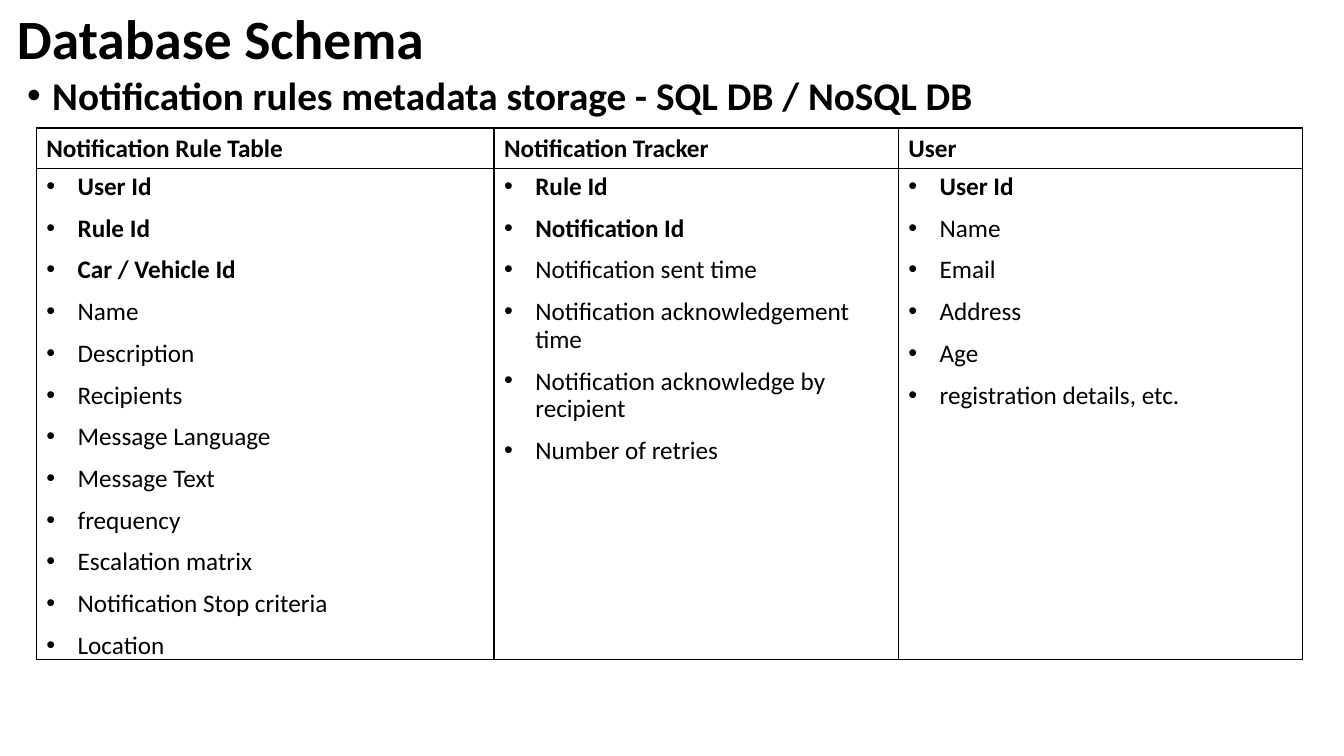
from pptx import Presentation
from pptx.dml.color import RGBColor
from pptx.enum.text import MSO_ANCHOR as Anchor
from pptx.oxml.ns import qn
from pptx.util import Inches, Pt
from lxml.etree import SubElement

BLACK = RGBColor(0, 0, 0)
WHITE = RGBColor(255, 255, 255)

COLUMNS = [
    ("Notification Rule Table", 4.54,
     ["User Id", "Rule Id", "Car / Vehicle Id"],
     ["Name", "Description", "Recipients", "Message Language", "Message Text",
      "frequency", "Escalation matrix", "Notification Stop criteria", "Location"]),
    ("Notification Tracker", 4.01,
     ["Rule Id", "Notification Id"],
     ["Notification sent time", "Notification acknowledgement time",
      "Notification acknowledge by recipient", "Number of retries"]),
    ("User", 4.01,
     ["User Id"],
     ["Name", "Email", "Address", "Age", "registration details, etc."]),
]


def write(paragraph, text, size=18, bold=False, indent=0, before=0, spacing=None):
    """Fill a paragraph with formatted text, bulleted when it has an indent."""
    run = paragraph.add_run()
    run.text = text
    run.font.name = "Calibri"
    run.font.size = Pt(size)
    run.font.bold = bold
    run.font.color.rgb = BLACK
    paragraph.space_before = Pt(before)
    if spacing:
        paragraph.line_spacing = spacing
    if indent:
        properties = paragraph._p.get_or_add_pPr()
        properties.set("marL", str(Inches(indent)))
        properties.set("indent", str(-Inches(indent)))
        SubElement(properties, qn("a:buFont"), typeface="Arial")
        SubElement(properties, qn("a:buChar"), char="•")


class SchemaSlide:
    """Hold the slide and its border style, and draw its elements."""

    def __init__(self, slide, border_width=1):
        self.slide = slide
        self.border_width = border_width

    def add_text(self, text, left, top, width, height, anchor=Anchor.TOP, **style):
        shape = self.slide.shapes.add_textbox(
            Inches(left), Inches(top), Inches(width), Inches(height))
        frame = shape.text_frame
        frame.word_wrap = True
        frame.vertical_anchor = anchor
        write(frame.paragraphs[0], text, **style)

    def style_cell(self, cell):
        properties = cell._tc.get_or_add_tcPr()
        for side in ("lnL", "lnR", "lnT", "lnB"):
            line = SubElement(properties, qn(f"a:{side}"), w=str(Pt(self.border_width)))
            fill = SubElement(line, qn("a:solidFill"))
            SubElement(fill, qn("a:srgbClr"), val=str(BLACK))
        cell.fill.solid()
        cell.fill.fore_color.rgb = WHITE

    def add_schema(self, columns, left, top, row_heights):
        width = sum(column[1] for column in columns)
        table = self.slide.shapes.add_table(
            len(row_heights), len(columns), Inches(left), Inches(top),
            Inches(width), Inches(sum(row_heights))).table
        for row, height in zip(table.rows, row_heights):
            row.height = Inches(height)
        for index, (name, column_width, keys, fields) in enumerate(columns):
            table.columns[index].width = Inches(column_width)
            header, body = table.cell(0, index), table.cell(1, index)
            self.style_cell(header)
            self.style_cell(body)
            write(header.text_frame.paragraphs[0], name, bold=True)
            for position, field in enumerate(keys + fields):
                frame = body.text_frame
                paragraph = frame.add_paragraph() if position else frame.paragraphs[0]
                write(paragraph, field, bold=position < len(keys),
                      indent=0.31, before=10, spacing=0.9)


def main():
    presentation = Presentation()
    presentation.slide_width = Inches(13.33)
    presentation.slide_height = Inches(7.5)
    schema = SchemaSlide(presentation.slides.add_slide(presentation.slide_layouts[6]))
    schema.add_text("Database Schema", 0.07, 0.06, 11.26, 0.71,
                    anchor=Anchor.MIDDLE, size=39.6, bold=True, spacing=0.9)
    schema.add_text("Notification rules metadata storage - SQL DB / NoSQL DB",
                    0.17, 0.71, 13, 5.99, size=28, bold=True,
                    indent=0.25, before=10, spacing=0.9)
    schema.add_schema(COLUMNS, 0.36, 1.27, [0.4, 4.87])
    presentation.save("out.pptx")


if __name__ == "__main__":
    main()
